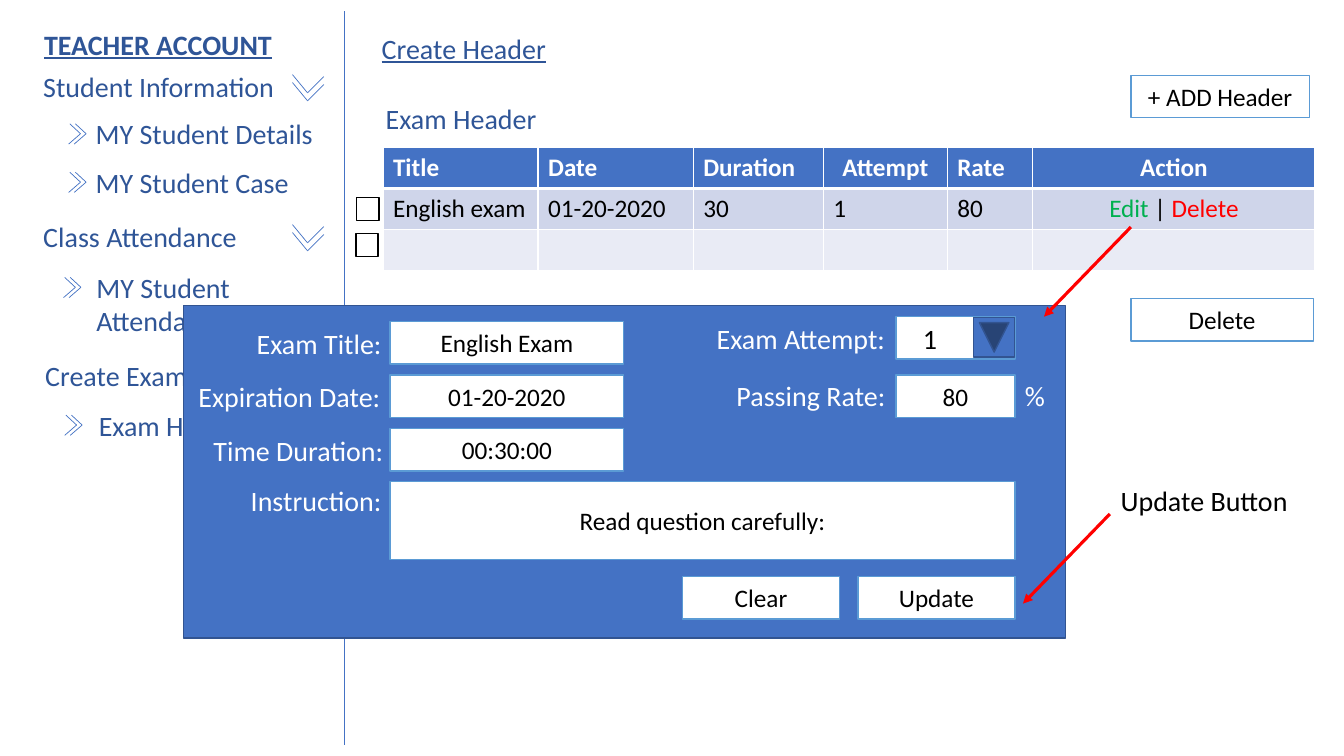
from dataclasses import dataclass

from lxml import etree
from pptx import Presentation
from pptx.dml.color import RGBColor
from pptx.enum.shapes import MSO_CONNECTOR, MSO_SHAPE
from pptx.enum.text import MSO_ANCHOR, PP_ALIGN
from pptx.oxml.ns import qn
from pptx.util import Cm, Pt

LEFT, CENTER = PP_ALIGN.LEFT, PP_ALIGN.CENTER
MIDDLE = MSO_ANCHOR.MIDDLE
RECTANGLE = MSO_SHAPE.RECTANGLE
DROPDOWN = MSO_SHAPE.ACTION_BUTTON_BACK_OR_PREVIOUS
STRAIGHT = MSO_CONNECTOR.STRAIGHT


@dataclass(frozen=True)
class Theme:
    font: str = "Calibri"
    label_size: int = 20
    field_size: int = 18
    navy: str = "2F5597"
    blue: str = "4472C4"
    blue_edge: str = "325491"
    field_edge: str = "5B9BD5"
    white: str = "FFFFFF"
    black: str = "000000"
    green: str = "00B050"
    red: str = "FF0000"
    row_fills: tuple = ("4472C4", "CFD5EA", "E9EBF5")


THEME = Theme()
LINE_HEIGHT = 1.12
FIELD_HEIGHT = 1.07
ROW_PITCH = 1.35

MENU = [  # text, left, top, width
    ("Student Information", 0.84, 1.63, 6.38),
    ("MY Student Details", 2.16, 2.82, 6.38),
    ("MY Student Case", 2.16, 4.04, 6.38),
    ("Class Attendance", 0.84, 5.41, 6.38),
    ("MY Student Attendance", 2.18, 6.68, 5.61),
    ("Create Exams", 0.89, 8.92, 6.38),
    ("Exam Header", 2.24, 10.16, 5.61),
]
# Legs of one chevron, then the step to its twin.
RIGHT_CHEVRON = ([(0.03, 0, 0.3, 0.25), (0, 0.51, 0.3, 0.25)], (0.14, 0))
DOWN_CHEVRON = ([(0.79, 0.05, 0.38, 0.46), (0, 0, 0.38, 0.46)], (0, 0.2))
MENU_CHEVRONS = [
    (RIGHT_CHEVRON, [(1.73, 3.12), (1.73, 4.34), (1.6, 6.99), (1.63, 10.46)]),
    (DOWN_CHEVRON, [(7.37, 1.88), (7.37, 5.66)]),
]

EXAM_COLUMNS = [  # title, width, alignment
    ("Title", 3.91, LEFT, LEFT), ("Date", 3.91, LEFT, LEFT),
    ("Duration", 3.28, LEFT, LEFT), ("Attempt", 3.12, CENTER, LEFT),
    ("Rate", 2.16, LEFT, LEFT), ("Action", 7.11, CENTER, CENTER),
]
EXAM = ["English exam", "01-20-2020", "30", "1", "80"]
ACTIONS = [("Edit", THEME.green), (" | ", THEME.black), ("Delete", THEME.red)]

TIMING_ROWS = [  # label, left, width, value
    ("Exam Title:", 6.22, 3.86, "English Exam"),
    ("Expiration Date:", 4.75, 5.31, "01-20-2020"),
    ("Time Duration:", 5.13, 5, "00:30:00"),
]


def style(paragraph, size, color, align=LEFT, bold=False, underline=False):
    paragraph.alignment = align
    font = paragraph.font
    font.name, font.size = THEME.font, Pt(size)
    font.bold, font.underline = bold, underline
    font.color.rgb = RGBColor.from_string(color)


def add_label(shapes, text, left, top, width, color=THEME.navy, **look):
    label = shapes.add_textbox(Cm(left), Cm(top), Cm(width), Cm(LINE_HEIGHT))
    label.text_frame.word_wrap = True
    label.text_frame.text = text
    style(label.text_frame.paragraphs[0], THEME.label_size, color, **look)


def add_box(shapes, left, top, width, height=FIELD_HEIGHT, text="",
            fill=THEME.white, edge=THEME.field_edge, preset=RECTANGLE):
    box = shapes.add_shape(preset, Cm(left), Cm(top), Cm(width), Cm(height))
    box.shadow.inherit = False
    box.fill.solid()
    box.fill.fore_color.rgb = RGBColor.from_string(fill)
    box.line.color.rgb = RGBColor.from_string(edge)
    box.line.width = Pt(1)
    if text:
        box.text_frame.text = text
        box.text_frame.vertical_anchor = MIDDLE
        style(box.text_frame.paragraphs[0], THEME.field_size, THEME.black, CENTER)
    return box


def add_line(shapes, x1, y1, x2, y2, color=THEME.blue, width=0.5, arrow=False):
    line = shapes.add_connector(STRAIGHT, Cm(x1), Cm(y1), Cm(x2), Cm(y2))
    line.line.color.rgb = RGBColor.from_string(color)
    line.line.width = Pt(width)
    if arrow:
        etree.SubElement(line.line._get_or_add_ln(), qn("a:tailEnd"), type="triangle")
    etree.SubElement(line._element.spPr, qn("a:effectLst"))


def add_double_chevron(shapes, left, top, legs, step):
    group = shapes.add_group_shape().shapes
    for count in (1, 0):
        x, y = left + count * step[0], top + count * step[1]
        for x1, y1, x2, y2 in legs:
            add_line(group, x + x1, y + y1, x + x2, y + y2)


def set_borders(cell, bottom):
    """Draw white cell borders; they must precede the fill in the XML."""
    properties = cell._tc.get_or_add_tcPr()
    widths = {"a:lnL": 1, "a:lnR": 1, "a:lnT": 1, "a:lnB": bottom}
    for position, (side, width) in enumerate(widths.items()):
        border = etree.Element(qn(side), w=str(Pt(width)))
        fill = etree.SubElement(border, qn("a:solidFill"))
        etree.SubElement(fill, qn("a:srgbClr"), val=THEME.white)
        properties.insert(position, border)


def add_exam_table(shapes):
    total = sum(column[1] for column in EXAM_COLUMNS)
    rows = len(THEME.row_fills)
    row_height = 1.04
    table = shapes.add_table(rows, len(EXAM_COLUMNS), Cm(9.65), Cm(3.71),
                             Cm(total), Cm(row_height * rows)).table
    for row, fill in enumerate(THEME.row_fills):
        table.rows[row].height = Cm(row_height)
        header = row == 0
        for col, (title, width, title_align, align) in enumerate(EXAM_COLUMNS):
            table.columns[col].width = Cm(width)
            cell = table.cell(row, col)
            cell.fill.solid()
            cell.fill.fore_color.rgb = RGBColor.from_string(fill)
            set_borders(cell, bottom=3 if header else 1)
            if header:
                cell.text = title
            elif row == 1 and col < len(EXAM):
                cell.text = EXAM[col]
            style(cell.text_frame.paragraphs[0], THEME.field_size,
                  THEME.white if header else THEME.black,
                  title_align if header else align, bold=header)
    actions = table.cell(1, len(EXAM)).text_frame.paragraphs[0]
    for text, color in ACTIONS:
        run = actions.add_run()
        run.text = text
        run.font.color.rgb = RGBColor.from_string(color)


def add_menu(shapes):
    add_label(shapes, "TEACHER ACCOUNT", 0.86, 0.56, 6.81, bold=True, underline=True)
    for entry in MENU:
        add_label(shapes, *entry)
    for (legs, step), places in MENU_CHEVRONS:
        for left, top in places:
            add_double_chevron(shapes, left, top, legs, step)
    add_line(shapes, 8.69, 0.28, 8.69, 18.77)


def add_edit_dialog(shapes):
    dialog = shapes.add_group_shape().shapes
    add_box(dialog, 4.62, 7.7, 22.23, 8.38, fill=THEME.blue, edge=THEME.blue_edge)
    for index, (label, left, width, value) in enumerate(TIMING_ROWS):
        top = 8.1 + index * ROW_PITCH
        add_label(dialog, label, left, top, width, THEME.white)
        add_box(dialog, 9.83, top, 5.89, text=value)
    add_label(dialog, "Instruction:", 6.07, 12.07, 4.01, THEME.white)
    add_box(dialog, 9.83, 12.14, 15.75, 1.96, "Read question carefully:")

    add_label(dialog, "Exam Attempt:", 17.81, 7.98, 4.8, THEME.white)
    add_box(dialog, 22.58, 7.98, 3)
    add_label(dialog, "1", 23.01, 7.98, 0.86, THEME.black)
    dropdown = add_box(dialog, 24.56, 7.98, 0.99, 1.04, fill=THEME.blue,
                       edge=THEME.blue_edge, preset=DROPDOWN)
    dropdown.rotation = 270
    add_label(dialog, "Passing Rate:", 18.31, 9.42, 4.47, THEME.white)
    add_box(dialog, 22.58, 9.45, 3, text="80")
    add_label(dialog, "%", 25.58, 9.42, 1.02, THEME.white)
    for text, left in (("Clear", 17.2), ("Update", 21.62)):
        add_box(dialog, left, 14.53, 3.96, text=text)


def main():
    deck = Presentation()
    deck.slide_width, deck.slide_height = Cm(33.87), Cm(19.05)
    shapes = deck.slides.add_slide(deck.slide_layouts[6]).shapes
    add_menu(shapes)
    add_label(shapes, "Create Header", 9.37, 0.66, 7.52, underline=True)
    add_label(shapes, "Exam Header", 9.47, 2.44, 7.52)
    add_edit_dialog(shapes)
    add_exam_table(shapes)
    for left, top in ((8.99, 4.98), (8.97, 5.89)):
        add_box(shapes, left, top, 0.56, 0.58, edge=THEME.black)
    add_box(shapes, 28.5, 1.9, 4.5, text="+ ADD Header")
    add_box(shapes, 28.5, 7.52, 4.6, text="Delete")
    add_label(shapes, "Update Button", 26.82, 12.07, 7.05, THEME.black, align=CENTER)
    for start_x, start_y in ((28.5, 5.72), (27.97, 12.95)):
        add_line(shapes, start_x, start_y, start_x - 2.19, start_y + 2.26,
                 THEME.red, 2.25, arrow=True)
    deck.save("out.pptx")


if __name__ == "__main__":
    main()
